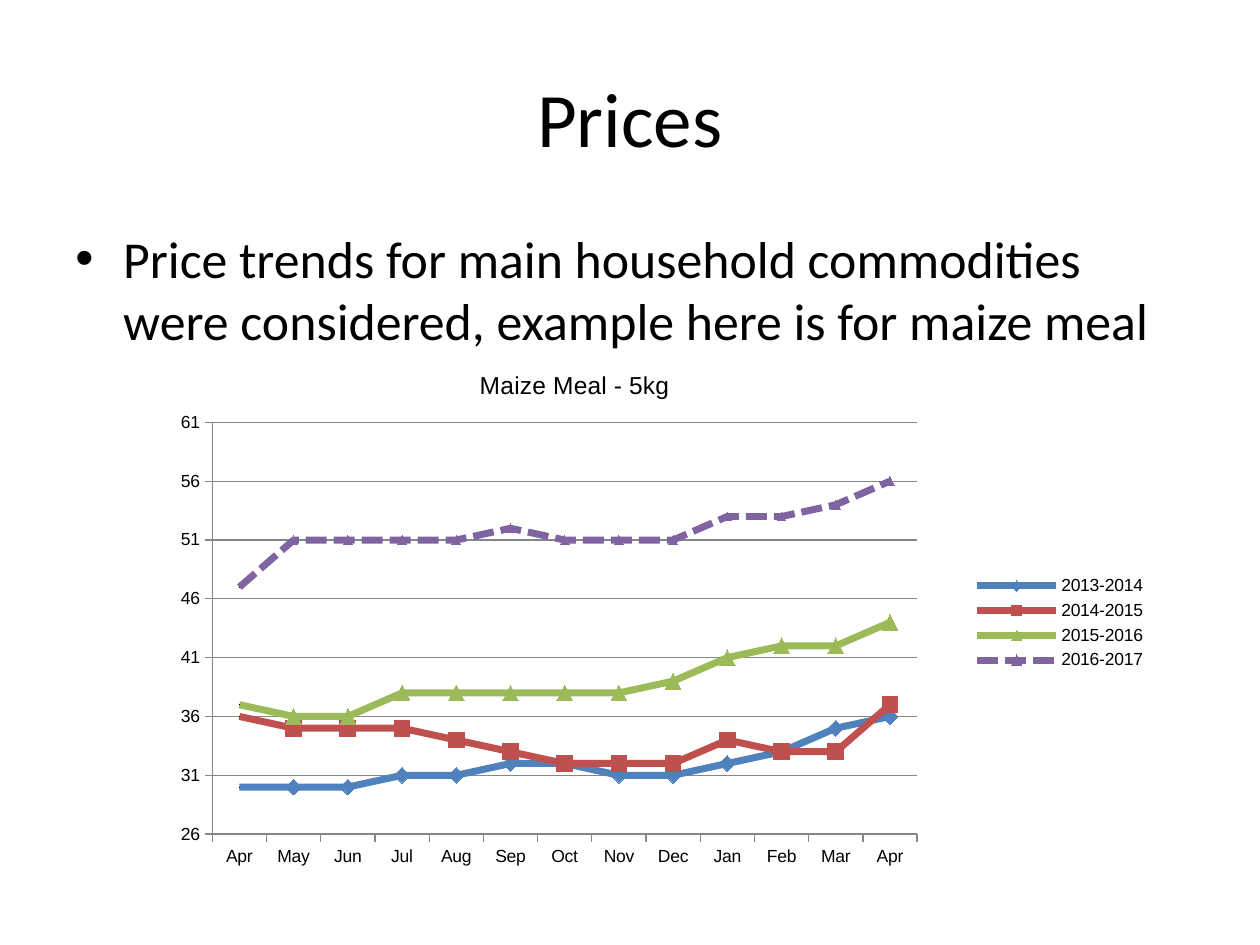
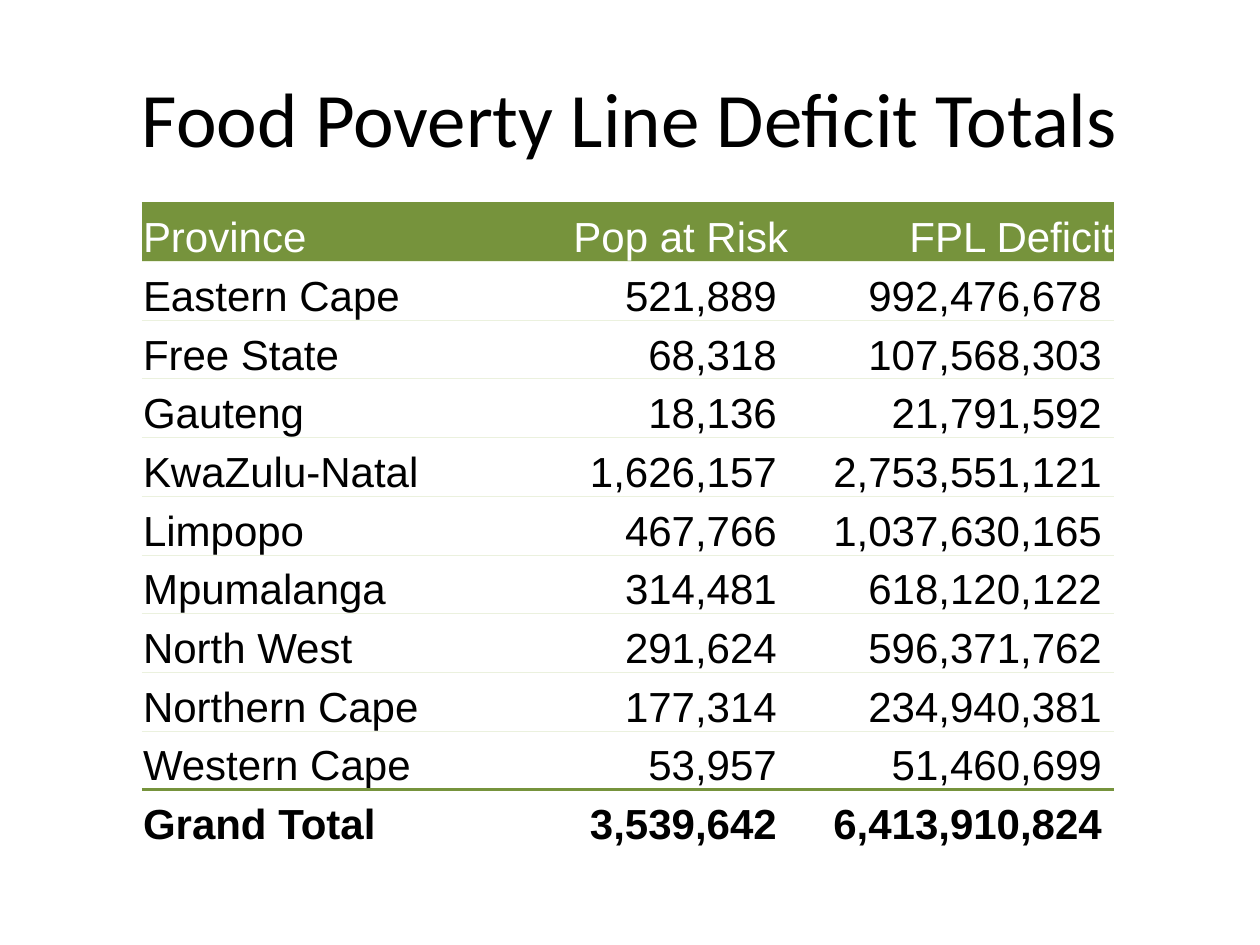
from lxml.etree import SubElement
from pptx import Presentation
from pptx.chart.data import CategoryChartData
from pptx.dml.color import RGBColor
from pptx.enum.chart import XL_CHART_TYPE, XL_LEGEND_POSITION, XL_MARKER_STYLE, XL_TICK_MARK
from pptx.enum.dml import MSO_LINE
from pptx.enum.text import MSO_ANCHOR, PP_ALIGN
from pptx.oxml.ns import qn
from pptx.util import Inches, Pt

COLUMNS, ROWS = 100, 75
NO_GRID_STYLE = "{2D5ABB26-0587-4C30-8999-92F81FD0307C}"

MONTHS = ["Apr", "May", "Jun", "Jul", "Aug", "Sep", "Oct",
          "Nov", "Dec", "Jan", "Feb", "Mar", "Apr"]

# Season: prices, colour, marker, marker size, dash
SEASONS = {
    "2013-2014": ([30, 30, 30, 31, 31, 32, 32, 31, 31, 32, 33, 35, 36],
                  "4F81BD", XL_MARKER_STYLE.DIAMOND, 9, None),
    "2014-2015": ([36, 35, 35, 35, 34, 33, 32, 32, 32, 34, 33, 33, 37],
                  "C0504D", XL_MARKER_STYLE.SQUARE, 9, None),
    "2015-2016": ([37, 36, 36, 38, 38, 38, 38, 38, 39, 41, 42, 42, 44],
                  "9BBB59", XL_MARKER_STYLE.TRIANGLE, 9, None),
    "2016-2017": ([47, 51, 51, 51, 51, 52, 51, 51, 51, 53, 53, 54, 56],
                  "8064A2", XL_MARKER_STYLE.TRIANGLE, 5, MSO_LINE.SQUARE_DOT),
}

DEFICITS = [
    ("Province", "Pop at Risk", "FPL Deficit"),
    ("Eastern Cape", "521,889", "992,476,678"),
    ("Free State", "68,318", "107,568,303"),
    ("Gauteng", "18,136", "21,791,592"),
    ("KwaZulu-Natal", "1,626,157", "2,753,551,121"),
    ("Limpopo", "467,766", "1,037,630,165"),
    ("Mpumalanga", "314,481", "618,120,122"),
    ("North West", "291,624", "596,371,762"),
    ("Northern Cape", "177,314", "234,940,381"),
    ("Western Cape", "53,957", "51,460,699"),
    ("Grand Total", "3,539,642", "6,413,910,824"),
]


def rgb(code):
    return RGBColor.from_string(code)


def set_layout(parent, index, **values):
    """Give a chart part a manual layout at the given child position."""
    for old in parent.findall(qn("c:layout")):
        parent.remove(old)
    layout = parent.makeelement(qn("c:layout"))
    parent.insert(index, layout)
    manual = SubElement(layout, qn("c:manualLayout"))
    for tag, value in values.items():
        SubElement(manual, qn(f"c:{tag}"), val=str(value))


def add_border(cell, side, color, width):
    line = SubElement(cell._tc.get_or_add_tcPr(), qn(f"a:ln{side}"), w=str(Pt(width)))
    fill = SubElement(line, qn("a:solidFill"))
    SubElement(fill, qn("a:srgbClr"), val=color)


class Deck:
    heading_font, data_font = "Calibri", "Arial"
    ink, paper, green, pale_green, grid_gray = "000000", "FFFFFF", "76933C", "EBF1DE", "868686"

    def __init__(self):
        self.presentation = Presentation()
        self.presentation.slide_width = Inches(10)
        self.presentation.slide_height = Inches(7.5)
        self.slide = None

    def box(self, left, top, width, height):
        """Turn grid columns and rows into slide lengths."""
        across = self.presentation.slide_width / COLUMNS
        down = self.presentation.slide_height / ROWS
        return [int(n * unit) for n, unit in
                zip((left, top, width, height), (across, down, across, down))]

    def style(self, font, name, size, color=None, bold=False):
        font.name, font.size, font.bold = name, Pt(size), bold
        font.color.rgb = rgb(color or self.ink)

    def text(self, words, place, size):
        frame = self.slide.shapes.add_textbox(*self.box(*place)).text_frame
        frame.word_wrap = True
        paragraph = frame.paragraphs[0]
        paragraph.text = words
        self.style(paragraph.runs[0].font, self.heading_font, size)
        return frame, paragraph

    def new_slide(self, title, left=5):
        self.slide = self.presentation.slides.add_slide(self.presentation.slide_layouts[6])
        frame, heading = self.text(title, (left, 3, COLUMNS - 2 * left, 12.5), 44)
        frame.vertical_anchor = MSO_ANCHOR.MIDDLE
        heading.alignment = PP_ALIGN.CENTER

    def bullet(self, words, place):
        _, paragraph = self.text(words, place, 29.6)
        paragraph.space_before = Pt(6)
        properties = paragraph._p.get_or_add_pPr()
        indent = Inches(0.38)
        properties.set("marL", str(indent))
        properties.set("indent", str(-indent))
        SubElement(properties, qn("a:buFont"), typeface="Arial")
        SubElement(properties, qn("a:buChar"), char="•")

    def line_chart(self, title, months, seasons, place):
        data = CategoryChartData()
        data.categories = months
        for season, (prices, *_) in seasons.items():
            data.add_series(season, prices)
        chart = self.slide.shapes.add_chart(
            XL_CHART_TYPE.LINE_MARKERS, *self.box(*place), data).chart
        self.style(chart.font, self.data_font, 10)

        # Title, legend and plot area
        chart.has_title = True
        heading = chart.chart_title.text_frame.paragraphs[0]
        heading.text = title
        self.style(heading.runs[0].font, self.data_font, 14)
        set_layout(chart.chart_title._element, 1, xMode="edge", yMode="edge", x=0.35, y=0.01)
        chart.has_legend = True
        chart.legend.position = XL_LEGEND_POSITION.RIGHT
        chart.legend.include_in_layout = False
        self.style(chart.legend.font, self.data_font, 10)
        set_layout(chart._chartSpace.chart.plotArea, 0, layoutTarget="inner",
                   xMode="edge", yMode="edge", x=0.1, y=0.12, w=0.67, h=0.78)

        # Axes
        price_axis = chart.value_axis
        price_axis.minimum_scale, price_axis.maximum_scale = 26, 61
        price_axis.major_unit = 5
        price_axis.has_major_gridlines = True
        price_axis.tick_labels.number_format = "0"
        price_axis.tick_labels.number_format_is_linked = False
        for axis in (chart.category_axis, price_axis):
            axis.major_tick_mark = XL_TICK_MARK.OUTSIDE
            self.style(axis.tick_labels.font, self.data_font, 10)
        for line in (chart.category_axis.format.line, price_axis.format.line,
                     price_axis.major_gridlines.format.line):
            line.color.rgb = rgb(self.grid_gray)
            line.width = Pt(0.75)

        # Seasons; the opening month carries no marker
        chart.plots[0].vary_by_categories = False
        for series, (_, color, marker, size, dash) in zip(chart.plots[0].series, seasons.values()):
            series.smooth = False
            opening = series.points[0]
            for part in (series, opening):
                part.format.line.color.rgb = rgb(color)
                part.format.line.width = Pt(4)
                if dash:
                    part.format.line.dash_style = dash
            opening.marker.style = XL_MARKER_STYLE.NONE
            series.marker.style, series.marker.size = marker, size
            series.marker.format.fill.solid()
            series.marker.format.fill.fore_color.rgb = rgb(color)
            series.marker.format.line.color.rgb = rgb(color)

    def table(self, records, widths, place):
        table = self.slide.shapes.add_table(
            len(records), len(widths), *self.box(*place)).table
        table.first_row = table.horz_banding = False
        table._tbl.tblPr.find(qn("a:tableStyleId")).text = NO_GRID_STYLE
        for column, width in zip(table.columns, widths):
            column.width = self.box(0, 0, width, 0)[2]
        for row, record in enumerate(records):
            for column, words in enumerate(record):
                self.table_cell(table.cell(row, column), words, row, column, len(records) - 1)

    def table_cell(self, cell, words, row, column, total_row):
        is_header, is_total = row == 0, row == total_row
        is_number = column > 0 and not is_header
        cell.vertical_anchor = MSO_ANCHOR.BOTTOM
        cell.margin_left = cell.margin_top = Inches(0.01)
        cell.margin_right = Inches(0.1 if is_number else 0.01)
        cell.margin_bottom = 0
        paragraph = cell.text_frame.paragraphs[0]
        paragraph.text = words
        paragraph.alignment = PP_ALIGN.RIGHT if column else PP_ALIGN.LEFT
        self.style(paragraph.runs[0].font, self.data_font, 24,
                   self.paper if is_header else self.ink, is_total)

        # Rules: a thick one parts the provinces from the total
        thin, thick = (self.pale_green, 0.5), (self.green, 2.25)
        top = (self.green, 0.5) if is_header else thick if is_total else thin
        add_border(cell, "T", *top)
        if not is_total:
            add_border(cell, "B", *(thick if row == total_row - 1 else thin))
        if is_header:
            cell.fill.solid()
            cell.fill.fore_color.rgb = rgb(self.green)
        else:
            cell.fill.background()


def main():
    deck = Deck()

    # Maize meal prices by season
    deck.new_slide("Prices")
    deck.bullet("Price trends for main household commodities were considered, "
                "example here is for maize meal", (5, 17.5, 90, 13.5))
    deck.line_chart("Maize Meal - 5kg", MONTHS, SEASONS, (8.5, 28.5, 83.5, 41.9))

    # Deficit by province
    deck.new_slide("Food Poverty Line Deficit Totals", left=0)
    deck.table(DEFICITS, (27.6, 23.8, 25.8), (11.25, 16.1, 77.2, 51.25))

    deck.presentation.save("out.pptx")


if __name__ == "__main__":
    main()
